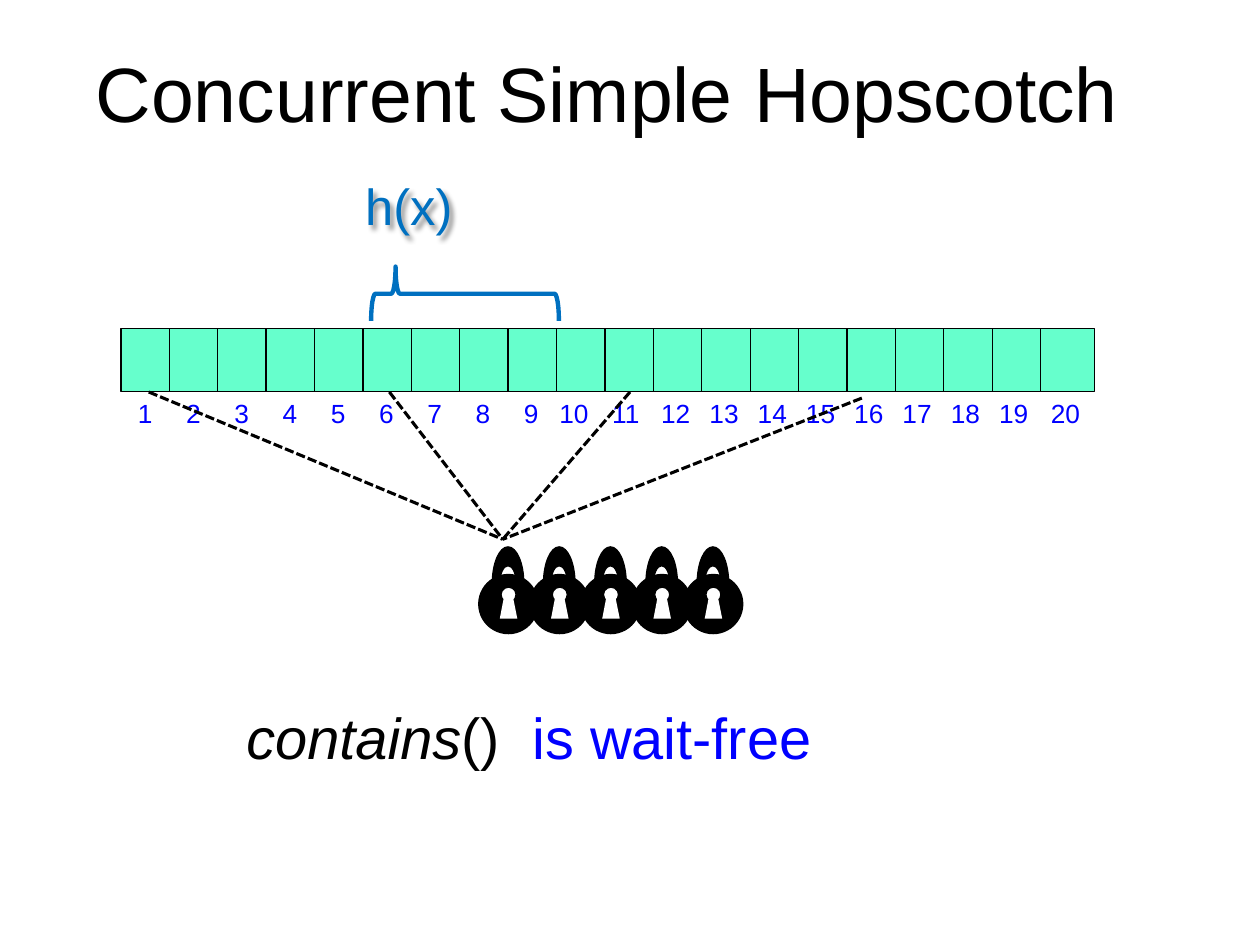
from dataclasses import dataclass

from lxml.etree import SubElement
from pptx import Presentation
from pptx.dml.color import RGBColor
from pptx.enum.dml import MSO_LINE
from pptx.enum.shapes import MSO_CONNECTOR, MSO_SHAPE
from pptx.enum.text import MSO_ANCHOR, MSO_AUTO_SIZE, PP_ALIGN
from pptx.oxml import parse_xml
from pptx.oxml.ns import nsdecls, qn
from pptx.util import Pt


@dataclass(frozen=True)
class Theme:
    font: str = "Arial"
    black: RGBColor = RGBColor(0, 0, 0)
    white: RGBColor = RGBColor(255, 255, 255)
    mint: RGBColor = RGBColor(0x66, 0xFF, 0xCC)
    blue: RGBColor = RGBColor(0, 0, 255)
    hash_blue: RGBColor = RGBColor(0, 0x70, 0xC0)
    title_size: float = 44
    claim_size: float = 33
    hash_size: float = 29
    label_size: float = 15


theme = Theme()


def write_text(frame, text, *, size, color, align=PP_ALIGN.LEFT, italic=False):
    """Append a formatted run to the first paragraph of a text frame."""
    paragraph = frame.paragraphs[0]
    paragraph.alignment = align
    run = paragraph.add_run()
    run.text = text
    run.font.name = theme.font
    run.font.size = Pt(size)
    run.font.italic = italic
    run.font.color.rgb = color


def draw_line(start, end, width, dash=None):
    """Draw a straight black line without a shadow."""
    line = slide.shapes.add_connector(
        MSO_CONNECTOR.STRAIGHT, Pt(start[0]), Pt(start[1]), Pt(end[0]), Pt(end[1]))
    line.line.color.rgb = theme.black
    line.line.width = Pt(width)
    if dash:
        line.line.dash_style = dash
    SubElement(line._element.spPr, qn("a:effectLst"))


presentation = Presentation()
presentation.slide_width, presentation.slide_height = Pt(720), Pt(540)
slide = presentation.slides.add_slide(presentation.slide_layouts[5])

# Title
title = slide.shapes.title
title.left, title.top, title.width, title.height = Pt(38), Pt(15), Pt(630), Pt(75)
title.text_frame.auto_size = MSO_AUTO_SIZE.NONE
title.text_frame.vertical_anchor = MSO_ANCHOR.MIDDLE
title.text_frame.margin_right = Pt(19)
write_text(title.text_frame, "Concurrent Simple Hopscotch",
           size=theme.title_size, color=theme.black, align=PP_ALIGN.CENTER)

# Hash table: one bar divided into cells
table_left, table_top, table_width, table_bottom = 69.1, 187.9, 556.2, 223.8
cell_count, cell_width = 20, 27.66
table_bar = slide.shapes.add_shape(
    MSO_SHAPE.RECTANGLE, Pt(table_left), Pt(table_top),
    Pt(table_width), Pt(table_bottom - table_top))
table_bar.shadow.inherit = False
table_bar.fill.solid()
table_bar.fill.fore_color.rgb = theme.mint
table_bar.line.color.rgb = theme.black
table_bar.line.width = Pt(0.75)
for divider in range(1, cell_count):
    x = table_left + divider * cell_width
    draw_line((x, table_top), (x, table_bottom), 0.75)

# Cell numbers, aligned by their right edges
label_nudge = {10: -3, 11: -1.5, 20: 2}
for number in range(1, cell_count + 1):
    two_digits = number >= 10
    width = 32 if two_digits else 24
    right = 94.2 + 27.58 * (number - 1) + (4 if two_digits else 0) + label_nudge.get(number, 0)
    label = slide.shapes.add_textbox(Pt(right - width), Pt(223.5), Pt(width), Pt(25))
    label.text_frame.word_wrap = False
    write_text(label.text_frame, str(number), size=theme.label_size,
               color=theme.blue, align=PP_ALIGN.RIGHT)

# Claim, with a tab stop between the method and the statement
claim = slide.shapes.add_textbox(Pt(125.3), Pt(397.5), Pt(594.7), Pt(47))
claim.text_frame.word_wrap = True
claim.text_frame.margin_left = Pt(15.5)
paragraph_properties = claim.text_frame.paragraphs[0]._p.get_or_add_pPr()
tab_list = SubElement(paragraph_properties, qn("a:tabLst"))
SubElement(tab_list, qn("a:tab"), pos=str(Pt(163.5)), algn="l")
write_text(claim.text_frame, "contains", size=theme.claim_size,
           color=theme.black, italic=True)
write_text(claim.text_frame, "()\t", size=theme.claim_size, color=theme.black)
write_text(claim.text_frame, "is wait-free", size=theme.claim_size, color=theme.blue)

# Hash function label with a soft shadow
hash_label = slide.shapes.add_textbox(Pt(202.3), Pt(96.5), Pt(63.4), Pt(42))
hash_label.text_frame.word_wrap = False
hash_label.text_frame.margin_left = 0
write_text(hash_label.text_frame, "h(x)", size=theme.hash_size,
           color=theme.hash_blue, align=PP_ALIGN.RIGHT)
hash_label._element.spPr.append(parse_xml(
    f'<a:effectLst {nsdecls("a")}><a:outerShdw blurRad="38100" dist="38100" dir="2700000">'
    '<a:srgbClr val="000000"><a:alpha val="43000"/></a:srgbClr>'
    '</a:outerShdw></a:effectLst>'))

# Brace over the neighbourhood of h(x)
brace = slide.shapes.add_shape(MSO_SHAPE.LEFT_BRACE, Pt(250.2), Pt(114.2), Pt(31), Pt(107.3))
brace.rotation = 90
brace.adjustments[0], brace.adjustments[1] = 0.08, 0.87
brace.shadow.inherit = False
brace.fill.background()
brace.line.color.rgb = theme.hash_blue
brace.line.width = Pt(2.5)

# Dashed lines from the locks to the segments they guard
for segment in ((85, 224), (222.5, 224), (360, 224), (492.5, 227.5)):
    draw_line(segment, (287.3, 308.2), 1.75, MSO_LINE.SQUARE_DOT)

# Row of padlocks; outlines are offsets from the lock's centre line
slot_outline = [(-4.7, 353.5), (-2.2, 340.5), (2.7, 340.5), (5.3, 353.5)]
shackle_outline = [
    (-4.7, 333.4),
    (-4.7, 327.8), (-2.6, 323.3), (0, 323.3), (2.6, 323.3), (4.7, 327.8), (4.7, 333.4),
    (9, 333.4),
    (9, 321.9), (5, 312.5), (0, 312.5), (-5, 312.5), (-9, 321.9), (-9, 333.4)]
curve_starts = (0, 3, 7, 10)
for index in range(5):
    center = 290.3 + 29.27 * index
    lock = slide.shapes.add_group_shape().shapes
    body = lock.add_shape(MSO_SHAPE.OVAL, Pt(center - 16.7), Pt(328.3), Pt(33.8), Pt(33.8))
    keyhole = lock.add_shape(MSO_SHAPE.OVAL, Pt(center - 4), Pt(335.5), Pt(8.6), Pt(8.6))

    outlines = []
    for outline in (slot_outline, shackle_outline):
        corners = [(Pt(center + x), Pt(y)) for x, y in outline]
        builder = lock.build_freeform(*corners[0])
        builder.add_line_segments(corners[1:], close=True)
        outlines.append(builder.convert_to_shape())
    slot, shackle = outlines

    # Turn each three segments of a shackle arc into one Bézier curve
    segments = list(shackle._element.iter(qn("a:lnTo")))
    for start in curve_starts:
        first, *others = segments[start:start + 3]
        curve = parse_xml(f'<a:cubicBezTo {nsdecls("a")}/>')
        first.addprevious(curve)
        for segment in (first, *others):
            curve.append(segment[0])
            segment.getparent().remove(segment)

    for shape, color in ((body, theme.black), (keyhole, theme.white),
                         (slot, theme.white), (shackle, theme.black)):
        shape.shadow.inherit = False
        shape.fill.solid()
        shape.fill.fore_color.rgb = color
        shape.line.color.rgb = theme.black
        shape.line.width = Pt(0.75)
    slot.line.fill.background()

presentation.save("out.pptx")
